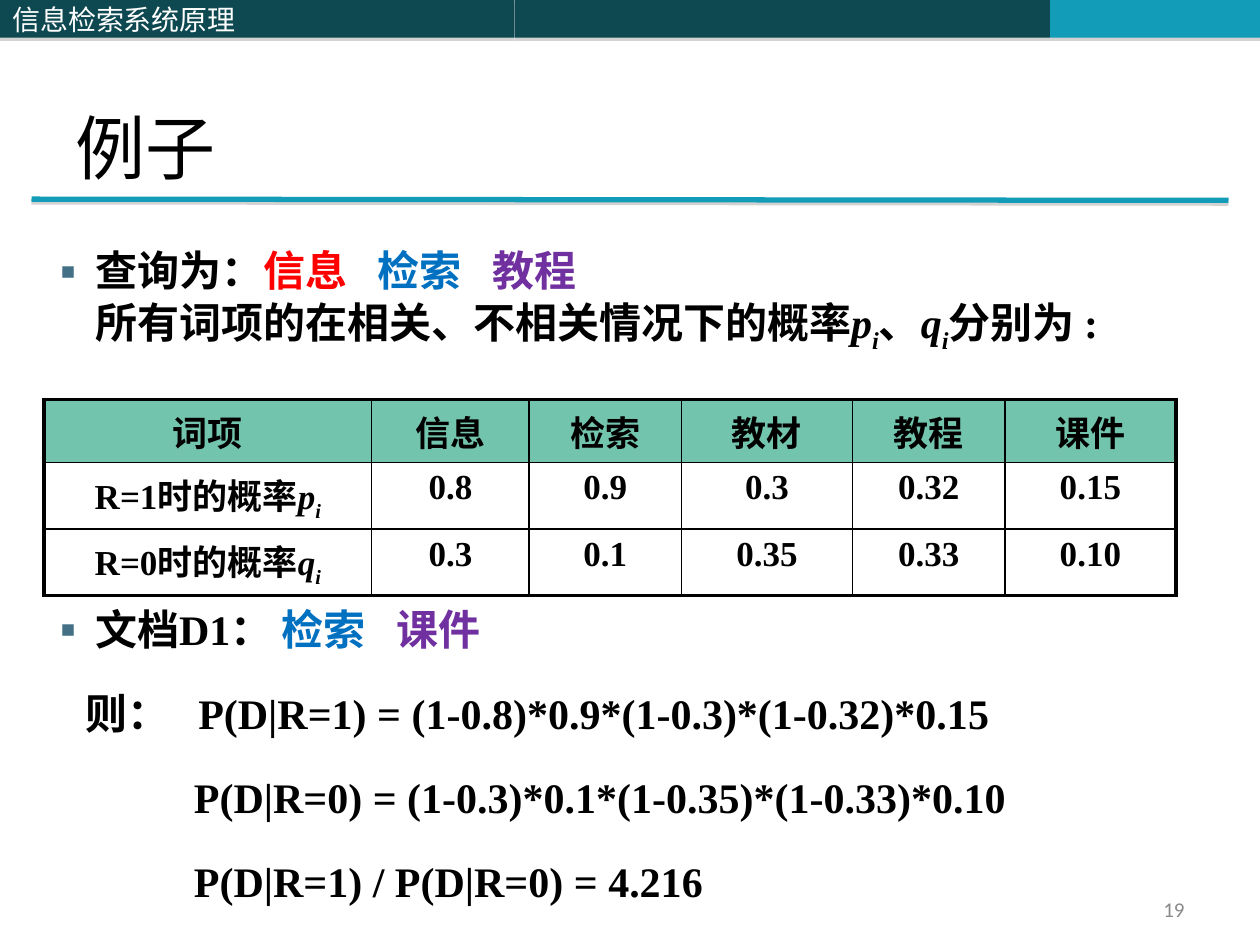
import pptx
import pptx.util
import pptx.dml.color
import pptx.enum.shapes
import pptx.enum.text
import pptx.enum.lang
import pptx.oxml
import pptx.oxml.ns
import lxml.etree

Pt = pptx.util.Pt
qn = pptx.oxml.ns.qn
RGB = pptx.dml.color.RGBColor.from_string
ALIGN = pptx.enum.text.PP_ALIGN
ANCHOR = pptx.enum.text.MSO_ANCHOR
COLORS = {
    "dark": "0E4851", "teal": "139CB7", "shadow": "808080", "white": "FFFFFF",
    "black": "000000", "red": "FF0000", "blue": "0070C0", "purple": "7030A0",
    "bullet": "437085", "header": "73C4AD", "grey": "898989",
}


def write(para, text, size=24, color="black", font="Times New Roman",
          bold=False, italic=False, baseline=0, gap=0):
    span = para.add_run()
    span.text = text
    span.font.size = Pt(size)
    span.font.name = font
    span.font.bold = bold
    span.font.italic = italic
    span.font.color.rgb = RGB(COLORS[color])
    span.font.language_id = pptx.enum.lang.MSO_LANGUAGE_ID.SIMPLIFIED_CHINESE
    properties = span.font._element
    east_asian = lxml.etree.SubElement(properties, qn("a:ea"))
    east_asian.set("typeface", "Noto Sans CJK SC")
    if baseline:
        properties.set("baseline", str(baseline * 1000))
    if gap:
        properties.set("spc", str(gap * 100))


def cast_shadow(shape, distance):
    properties = shape._element.spPr
    for old in properties.findall(qn("a:effectLst")):
        properties.remove(old)
    effects = lxml.etree.SubElement(properties, qn("a:effectLst"))
    shadow = lxml.etree.SubElement(effects, qn("a:outerShdw"), blurRad="0",
                                   dist=str(Pt(distance)), dir="5400000", rotWithShape="0")
    color = lxml.etree.SubElement(shadow, qn("a:srgbClr"), val=COLORS["shadow"])
    lxml.etree.SubElement(color, qn("a:alpha"), val="35000")


deck = pptx.Presentation()
deck.slide_width, deck.slide_height = Pt(720), Pt(540)
page = deck.slides.add_slide(deck.slide_layouts[5])

for left, width, color, label in [
    (294, 306, "dark", ""), (600, 120, "teal", ""), (0, 294, "dark", "信息检索系统原理"),
]:
    band = page.shapes.add_shape(pptx.enum.shapes.MSO_SHAPE.RECTANGLE,
                                 Pt(left), Pt(0), Pt(width), Pt(21.6))
    band.fill.solid()
    band.fill.fore_color.rgb = RGB(COLORS[color])
    band.line.fill.background()
    cast_shadow(band, 1.8)
    if label:
        band.text_frame.vertical_anchor = ANCHOR.MIDDLE
        band.text_frame.margin_top = band.text_frame.margin_bottom = Pt(0)
        para = band.text_frame.paragraphs[0]
        para.alignment = ALIGN.LEFT
        write(para, label, size=16, color="white", font="Noto Sans CJK SC")

rule = page.shapes.add_connector(pptx.enum.shapes.MSO_CONNECTOR.STRAIGHT,
                                 Pt(18), Pt(113.8), Pt(702), Pt(114.5))
rule.line.color.rgb = RGB(COLORS["teal"])
rule.line.width = Pt(3)
cast_shadow(rule, 1.6)

title = page.shapes.title
title.left, title.top, title.width, title.height = Pt(36), Pt(21.6), Pt(648), Pt(90)
title.text_frame.vertical_anchor = ANCHOR.BOTTOM
title.text_frame.paragraphs[0].alignment = ALIGN.LEFT
write(title.text_frame.paragraphs[0], "例子", size=40)

italic = {"italic": True}
subscript = {"italic": True, "baseline": -25}
body_lines = [
    (27, -27, 31, 0, True, [
        ("查询为：", {}), ("信息", {"color": "red"}), (" ", {"gap": 12}),
        ("检索", {"color": "blue"}), (" ", {"gap": 12}), ("教程", {"color": "purple"})]),
    (27, 0, 31, 2.7, False, [
        ("所有词项的在相关、不相关情况下的概率", {}), ("p", italic), ("i", subscript),
        ("、", {}), ("q", italic), ("i", subscript), ("分别为 :", {})]),
    (27, -27, 31, 140.4, True, [
        ("文档D1： ", {}), ("检索", {"color": "blue"}), (" ", {"gap": 12}),
        ("课件", {"color": "purple"})]),
    (86, -64.5, 43, 5, False, [("则：\tP(D|R=1) = (1-0.8)*0.9*(1-0.3)*(1-0.32)*0.15", {})]),
    (83.5, 0, 43, 5, False, [("P(D|R=0) = (1-0.3)*0.1*(1-0.35)*(1-0.33)*0.10", {})]),
    (83.5, 0, 43, 5, False, [("P(D|R=1) / P(D|R=0) = 4.216", {})]),
]
body = page.shapes.add_textbox(Pt(20.2), Pt(134), Pt(680.4), Pt(380)).text_frame
body.word_wrap = True
for index, (margin, indent, height, before, bullet, spans) in enumerate(body_lines):
    para = body.add_paragraph() if index else body.paragraphs[0]
    para.line_spacing = Pt(height)
    if before:
        para.space_before = Pt(before)
    properties = para._p.get_or_add_pPr()
    properties.set("marL", str(Pt(margin)))
    properties.set("indent", str(Pt(indent)))
    if bullet:
        bullet_color = lxml.etree.SubElement(properties, qn("a:buClr"))
        lxml.etree.SubElement(bullet_color, qn("a:srgbClr"), val=COLORS["bullet"])
        lxml.etree.SubElement(properties, qn("a:buFont"), typeface="Noto Sans CJK SC")
        lxml.etree.SubElement(properties, qn("a:buChar"), char="▪")
    for text, style in spans:
        write(para, text, bold=True, **style)

rows = [
    ["词项", "信息", "检索", "教材", "教程", "课件"],
    [("R=1时的概率", "p"), "0.8", "0.9", "0.3", "0.32", "0.15"],
    [("R=0时的概率", "q"), "0.3", "0.1", "0.35", "0.33", "0.10"],
]
widths = [187.2, 90, 87, 97.8, 87, 97.8]
heights = [36, 38, 38]
table = page.shapes.add_table(len(rows), len(widths), Pt(25.2), Pt(228.2),
                              Pt(sum(widths)), Pt(sum(heights))).table
table.first_row = table.horz_banding = False
for column, width in zip(table.columns, widths):
    column.width = Pt(width)
for row_index, row in enumerate(rows):
    table.rows[row_index].height = Pt(heights[row_index])
    for column_index, value in enumerate(row):
        cell = table.cell(row_index, column_index)
        cell.margin_left = cell.margin_right = Pt(10.8)
        cell.margin_top = cell.margin_bottom = Pt(3.6)
        outer_edges = {
            "a:lnL": column_index == 0, "a:lnR": column_index == len(widths) - 1,
            "a:lnT": row_index == 0, "a:lnB": row_index == len(rows) - 1,
        }
        for edge, outer in outer_edges.items():
            border = lxml.etree.SubElement(cell._tc.get_or_add_tcPr(), qn(edge),
                                           w=str(Pt(2.25 if outer else 1)))
            paint = lxml.etree.SubElement(border, qn("a:solidFill"))
            lxml.etree.SubElement(paint, qn("a:srgbClr"), val=COLORS["black"])
        if row_index == 0:
            cell.fill.solid()
            cell.fill.fore_color.rgb = RGB(COLORS["header"])
        else:
            cell.fill.background()
        para = cell.text_frame.paragraphs[0]
        para.alignment = ALIGN.CENTER
        if column_index == 0 and row_index > 0:
            label, symbol = value
            write(para, label, size=20, bold=True)
            write(para, symbol, size=20, bold=True, **italic)
            write(para, "i", size=20, bold=True, **subscript)
        else:
            write(para, value, size=20, bold=True)

number = page.shapes.add_textbox(Pt(516.2), Pt(509.8), Pt(167.8), Pt(19.4)).text_frame
number.word_wrap = True
number.vertical_anchor = ANCHOR.MIDDLE
number.paragraphs[0].alignment = ALIGN.RIGHT
write(number.paragraphs[0], "19", size=12, color="grey", font="Calibri")

deck.save("out.pptx")
